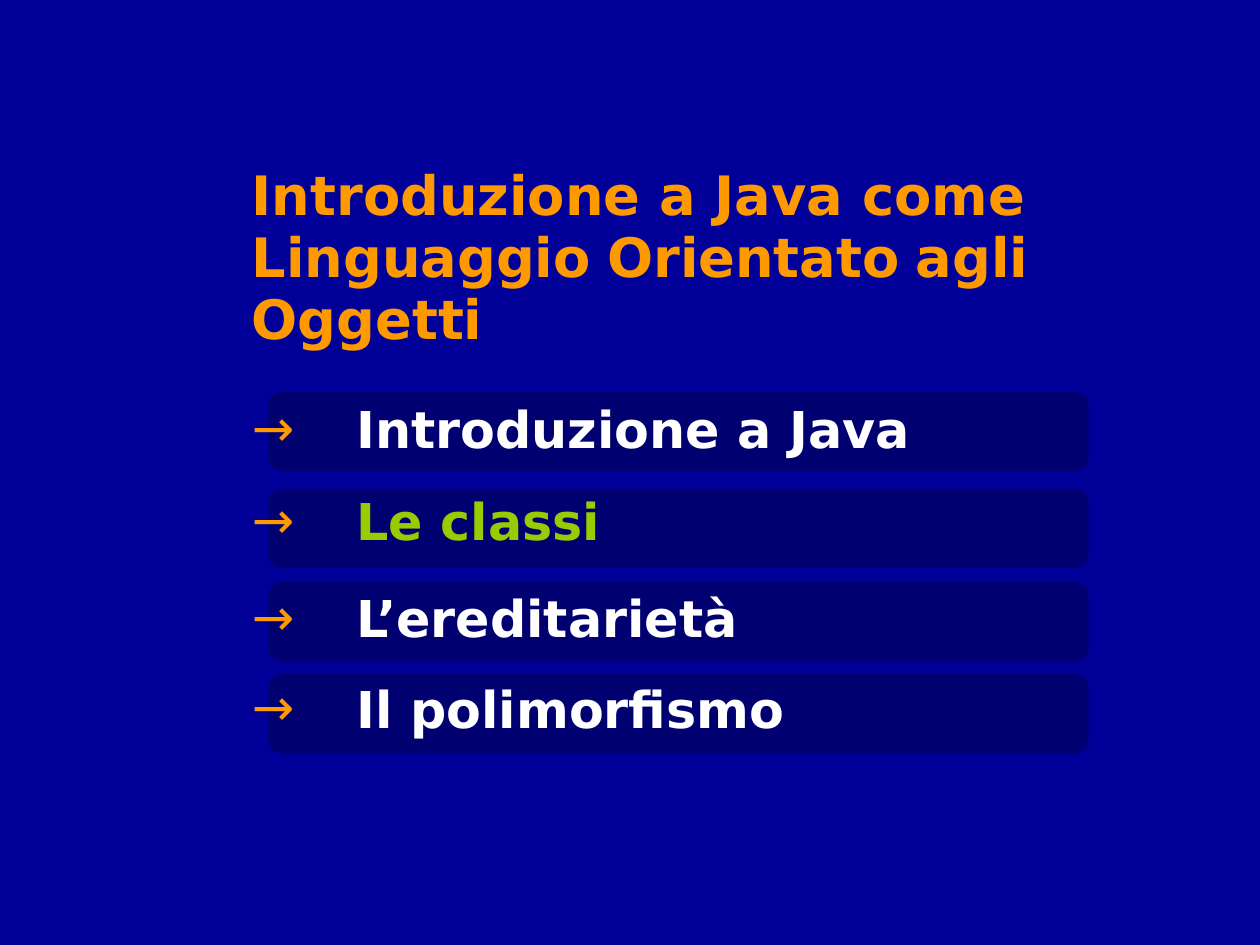
from dataclasses import dataclass

from lxml import etree
from pptx import Presentation
from pptx.dml.color import RGBColor
from pptx.enum.shapes import MSO_SHAPE
from pptx.enum.text import MSO_ANCHOR, MSO_AUTO_SIZE
from pptx.oxml.ns import qn
from pptx.util import Inches, Pt

ROUNDED = MSO_SHAPE.ROUNDED_RECTANGLE
TOP = MSO_ANCHOR.TOP
GROW = MSO_AUTO_SIZE.SHAPE_TO_FIT_TEXT


@dataclass(frozen=True)
class Theme:
    font: str = "DejaVu Sans"
    background: str = "000099"
    panel: str = "000048"
    accent: str = "FF9900"
    text: str = "FFFFFF"
    current: str = "99CC00"
    shadow: str = "000000"
    title_size: int = 31
    gap_size: int = 27
    topic_size: int = 29
    panel_opacity: int = 50
    topic_indent: float = 0.83


class AgendaSlide:
    """Draws on one slide; lengths are inches, 10 columns by 7.5 rows."""

    def __init__(self, deck, theme):
        self.theme = theme
        self.slide = deck.slides.add_slide(deck.slide_layouts[6])
        fill = self.slide.background.fill
        fill.solid()
        fill.fore_color.rgb = RGBColor.from_string(theme.background)

    def text_box(self, shapes, area, size, color):
        frame = shapes.add_textbox(*map(Inches, area)).text_frame
        frame.word_wrap = True
        frame.auto_size = GROW
        frame.vertical_anchor = TOP
        paragraph = frame.paragraphs[0]
        self.style(paragraph.font, size, color)
        return paragraph

    def style(self, font, size, color):
        font.name = self.theme.font
        font.size = Pt(size)
        font.bold = True
        font.color.rgb = RGBColor.from_string(color)

    def shadowed_run(self, paragraph, text):
        run = paragraph.add_run()
        run.text = text
        effects = etree.SubElement(run._r.get_or_add_rPr(), qn("a:effectLst"))
        shadow = etree.SubElement(effects, qn("a:outerShdw"),
                                  dist="17961", dir="2700000")
        etree.SubElement(shadow, qn("a:srgbClr"), val=self.theme.shadow)
        return run

    def title(self, area, lines):
        theme = self.theme
        paragraph = self.text_box(self.slide.shapes, area,
                                  theme.title_size, theme.accent)
        paragraph.line_spacing = 0.95
        for number, phrases in enumerate(lines):
            if number:
                paragraph.add_line_break()
            for phrase in phrases:
                self.shadowed_run(paragraph, phrase)
                if number < len(lines) - 1:
                    gap = self.shadowed_run(paragraph, " ")
                    gap.font.size = Pt(theme.gap_size)

    def panel(self, shapes, area):
        shape = shapes.add_shape(ROUNDED, *map(Inches, area))
        shape.shadow.inherit = False
        shape.adjustments[0] = 0.17
        shape.fill.solid()
        shape.fill.fore_color.rgb = RGBColor.from_string(self.theme.panel)
        color = shape.fill._xPr.find(qn("a:solidFill"))[0]
        etree.SubElement(color, qn("a:alpha"),
                         val=str(self.theme.panel_opacity * 1000))
        shape.line.fill.background()

    def arrow_bullet(self, paragraph):
        properties = paragraph._p.get_or_add_pPr()
        indent = Inches(self.theme.topic_indent)
        properties.set("marL", str(indent))
        properties.set("indent", str(-indent))
        bullet_color = etree.Element(qn("a:buClr"))
        etree.SubElement(bullet_color, qn("a:srgbClr"), val=self.theme.accent)
        bullet_font = etree.Element(qn("a:buFont"), typeface=self.theme.font)
        bullet = etree.Element(qn("a:buChar"), char="→")
        for position, part in enumerate((bullet_color, bullet_font, bullet)):
            properties.insert(position, part)

    def topic(self, text, panel_top, text_top, color):
        shapes = self.slide.shapes.add_group_shape().shapes
        self.panel(shapes, (2.13, panel_top, 6.51, 0.63))
        paragraph = self.text_box(shapes, (1.9, text_top, 7.58, 0.59),
                                  self.theme.topic_size, color)
        self.arrow_bullet(paragraph)
        self.shadowed_run(paragraph, text)


def main():
    deck = Presentation()
    deck.slide_width, deck.slide_height = Inches(10), Inches(7.5)
    theme = Theme()
    agenda = AgendaSlide(deck, theme)

    # Course title
    agenda.title((1.9, 1.27, 7.6, 1.58), [
        ["Introduzione a Java come Linguaggio", "Orientato", "agli"],
        ["Oggetti"],
    ])

    # Topics, with the current one highlighted
    topics = [
        ("Introduzione a Java", 3.11, 3.11, theme.text),
        ("Le classi", 3.88, 3.84, theme.current),
        ("L’ereditarietà", 4.62, 4.61, theme.text),
        ("Il polimorfismo", 5.35, 5.33, theme.text),
    ]
    for topic in topics:
        agenda.topic(*topic)

    deck.save("out.pptx")


if __name__ == "__main__":
    main()
